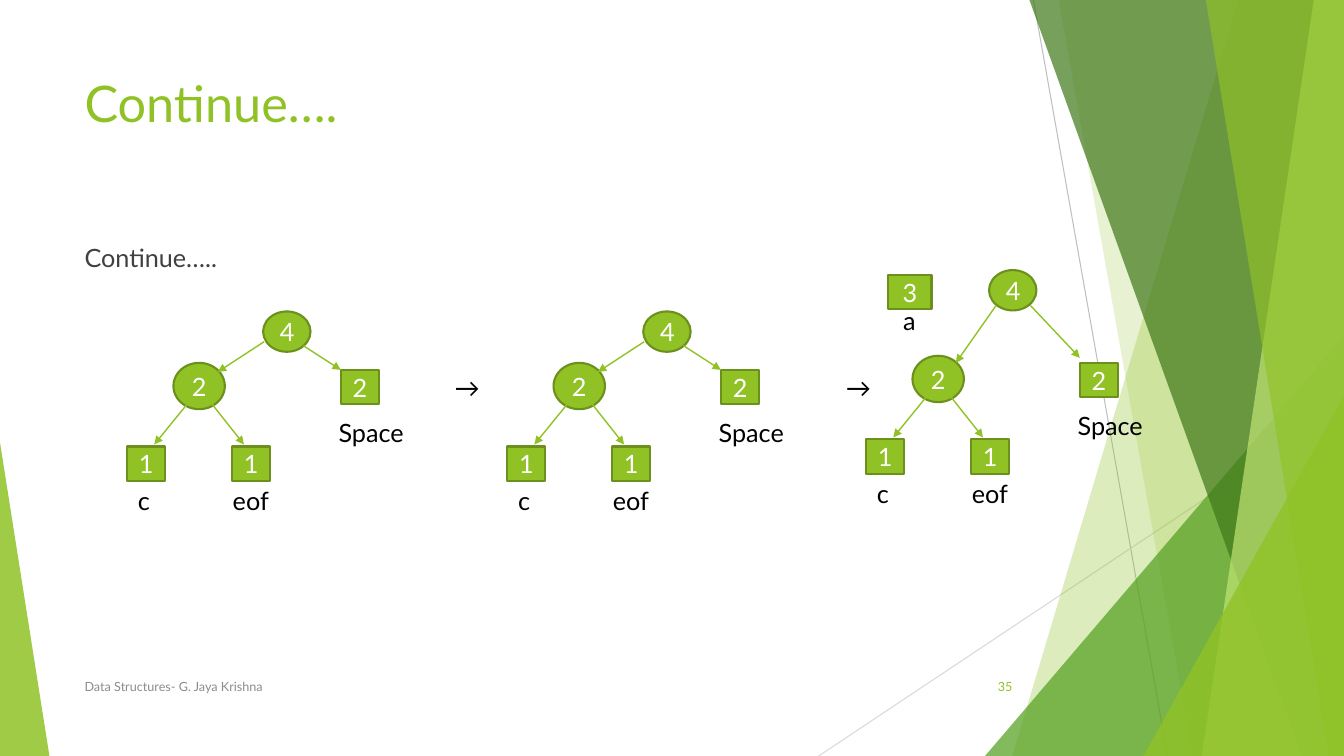
"""Builds a slide showing the steps of joining small Huffman trees."""
from dataclasses import dataclass
from typing import NamedTuple, Union

from lxml import etree
from pptx import Presentation
from pptx import util as u
from pptx.dml import color
from pptx.enum import shapes, text
from pptx.oxml import ns


@dataclass(frozen=True)
class Theme:
    font: str = "Lato"
    green: str = "90C226"
    leaf: str = "54A021"
    forest: str = "3F7819"
    lime: str = "C0E474"
    outline: str = "6B901C"
    silver: str = "BFBFBF"
    mist: str = "D9D9D9"
    white: str = "FFFFFF"
    black: str = "000000"
    body: str = "404040"
    muted: str = "8C8C8C"
    title_size: float = 36
    text_size: float = 18
    footer_size: float = 9


class Box(NamedTuple):
    left: float
    top: float
    width: float
    height: float

    def moved(self, dx: float, dy: float) -> "Box":
        return Box(self.left + dx, self.top + dy, self.width, self.height)


class Segment(NamedTuple):
    x1: float
    y1: float
    x2: float
    y2: float

    def moved(self, dx: float, dy: float) -> "Segment":
        return Segment(self.x1 + dx, self.y1 + dy, self.x2 + dx, self.y2 + dy)


class Band(NamedTuple):
    top_x: float
    bottom_x: float
    fill: str
    opacity: int


class Wedge(NamedTuple):
    box: Box
    apex: float
    fill: str
    opacity: int


class Node(NamedTuple):
    value: str
    box: Box
    kind: shapes.MSO_SHAPE


class Tree(NamedTuple):
    dx: float
    dy: float
    root: Box
    branches: tuple[Segment, Segment]


THEME = Theme()
WIDTH, HEIGHT = 13.33, 7.5
LEAF, INNER = shapes.MSO_SHAPE.RECTANGLE, shapes.MSO_SHAPE.OVAL

FACETS: list[Union[Band, Wedge]] = [
    Band(12.28, 10.04, THEME.green, 30),
    Band(10.5, 11.83, THEME.green, 20),
    Wedge(Box(9.77, 3.33, 3.56, 4.17), 1, THEME.leaf, 72),
    Band(10.21, 12.91, THEME.forest, 70),
    Band(13.03, 11.92, THEME.lime, 70),
    Band(11.96, 13.18, THEME.green, 65),
    Wedge(Box(11.34, 3.93, 1.99, 3.57), 1, THEME.green, 80),
    Wedge(Box(0, 4.39, 0.49, 3.11), 0, THEME.green, 85),
]
LOWER_NODES = [
    Node("1", Box(1.26, 4.43, 0.38, 0.34), LEAF),
    Node("2", Box(1.72, 3.6, 0.51, 0.46), INNER),
    Node("2", Box(3.38, 3.67, 0.38, 0.34), LEAF),
    Node("1", Box(2.3, 4.43, 0.38, 0.34), LEAF),
]
LOWER_BRANCHES = [Segment(1.88, 3.98, 1.53, 4.41), Segment(2.08, 3.98, 2.42, 4.41)]
LOWER_LABELS = {"c\teof": Box(1.27, 4.77, 1.54, 0.4), "Space": Box(3.26, 4.09, 0.96, 0.4)}
LABEL_TAB = 0.94

ROOT = Box(2.61, 3.09, 0.47, 0.4)
ROOT_BRANCHES = (Segment(2.62, 3.39, 2.16, 3.69), Segment(3.01, 3.43, 3.38, 3.67))
STEP = 3.77
TREES = [
    *(Tree(n * STEP, 0, ROOT.moved(n * STEP, 0),
           tuple(branch.moved(n * STEP, 0) for branch in ROOT_BRANCHES)) for n in range(2)),
    Tree(7.33, -0.07, Box(9.81, 2.68, 0.47, 0.4),
         (Segment(9.88, 3.03, 9.48, 3.6), Segment(10.22, 3.03, 10.71, 3.55))),
]


def inches(values: tuple) -> list[int]:
    return [u.Inches(value) for value in values]


def paint(shape, fill: str, opacity: int = 100, outline: str = "") -> None:
    shape.shadow.inherit = False
    shape.fill.solid()
    shape.fill.fore_color.rgb = color.RGBColor.from_string(fill)
    if opacity < 100:
        tint = shape.fill._xPr.find(".//" + ns.qn("a:srgbClr"))
        etree.SubElement(tint, ns.qn("a:alpha"), val=str(opacity * 1000))
    if outline:
        shape.line.color.rgb = color.RGBColor.from_string(outline)
        shape.line.width = u.Pt(1.5)
    else:
        shape.line.fill.background()


def write(frame, words: str, *, size: float = THEME.text_size, ink: str = THEME.black,
          align=text.PP_ALIGN.LEFT, anchor=text.MSO_ANCHOR.TOP,
          wrap: bool = True, tab: float = 0) -> None:
    frame.word_wrap = wrap
    frame.vertical_anchor = anchor
    paragraph = frame.paragraphs[0]
    paragraph.alignment = align
    if tab:
        stops = etree.SubElement(paragraph._p.get_or_add_pPr(), ns.qn("a:tabLst"))
        etree.SubElement(stops, ns.qn("a:tab"), pos=str(u.Inches(tab)), algn="l")
    run = paragraph.add_run()
    run.text = words
    run.font.name = THEME.font
    run.font.size = u.Pt(size)
    run.font.color.rgb = color.RGBColor.from_string(ink)


def add_label(slide, words: str, box: Box, **style) -> None:
    write(slide.shapes.add_textbox(*inches(box)).text_frame, words, **style)


def add_line(slide, segment: Segment, ink: str, width: float, arrow: bool = False) -> None:
    connector = slide.shapes.add_connector(shapes.MSO_CONNECTOR.STRAIGHT, *inches(segment))
    connector.line.color.rgb = color.RGBColor.from_string(ink)
    connector.line.width = u.Pt(width)
    if arrow:
        etree.SubElement(connector.line._get_or_add_ln(), ns.qn("a:tailEnd"), type="triangle")
    etree.SubElement(connector._element.spPr, ns.qn("a:effectLst"))


def add_facet(slide, facet: Union[Band, Wedge]) -> None:
    if isinstance(facet, Wedge):
        shape = slide.shapes.add_shape(shapes.MSO_SHAPE.ISOSCELES_TRIANGLE, *inches(facet.box))
        shape.adjustments[0] = facet.apex
    else:
        start, *corners = [tuple(inches(point)) for point in (
            (facet.top_x, 0), (WIDTH, 0), (WIDTH, HEIGHT), (facet.bottom_x, HEIGHT))]
        builder = slide.shapes.build_freeform(*start)
        builder.add_line_segments(corners)
        shape = builder.convert_to_shape()
    paint(shape, facet.fill, facet.opacity)


def add_node(slide, node: Node) -> None:
    shape = slide.shapes.add_shape(node.kind, *inches(node.box))
    paint(shape, THEME.green, outline=THEME.outline)
    write(shape.text_frame, node.value, ink=THEME.white,
          align=text.PP_ALIGN.CENTER, anchor=text.MSO_ANCHOR.MIDDLE)


def add_tree(slide, tree: Tree) -> None:
    for node in LOWER_NODES:
        add_node(slide, node._replace(box=node.box.moved(tree.dx, tree.dy)))
    add_node(slide, Node("4", tree.root, INNER))
    for words, box in LOWER_LABELS.items():
        add_label(slide, words, box.moved(tree.dx, tree.dy), tab=LABEL_TAB if "\t" in words else 0)
    lower = [branch.moved(tree.dx, tree.dy) for branch in LOWER_BRANCHES]
    for branch in [*lower, *tree.branches]:
        add_line(slide, branch, THEME.green, 1, arrow=True)


def main() -> None:
    deck = Presentation()
    deck.slide_width, deck.slide_height = inches((WIDTH, HEIGHT))
    slide = deck.slides.add_slide(deck.slide_layouts[6])
    add_line(slide, Segment(10.25, 0, 11.58, HEIGHT), THEME.silver, 0.75)
    add_line(slide, Segment(WIDTH, 4.03, 8.12, HEIGHT), THEME.mist, 0.75)
    for facet in FACETS:
        add_facet(slide, facet)
    add_label(slide, "Continue….", Box(0.74, 0.67, 9.4, 1.44),
              size=THEME.title_size, ink=THEME.green)
    add_label(slide, "Continue…..", Box(0.74, 2.36, 11.06, 4.24), ink=THEME.body)
    for tree in TREES:
        add_tree(slide, tree)
    for left in (4.41, 8.29):
        add_label(slide, "→", Box(left, 3.64, 0.45, 0.4), wrap=False)
    add_node(slide, Node("3", Box(8.81, 2.73, 0.43, 0.34), LEAF))
    add_label(slide, "a", Box(8.86, 2.98, 0.39, 0.4))
    add_label(slide, "Data Structures- G. Jaya Krishna", Box(0.74, 6.61, 6.89, 0.4),
              size=THEME.footer_size, ink=THEME.muted, anchor=text.MSO_ANCHOR.MIDDLE)
    add_label(slide, "35", Box(9.39, 6.61, 0.75, 0.4), size=THEME.footer_size, ink=THEME.green,
              align=text.PP_ALIGN.RIGHT, anchor=text.MSO_ANCHOR.MIDDLE)
    deck.save("out.pptx")


if __name__ == "__main__":
    main()
